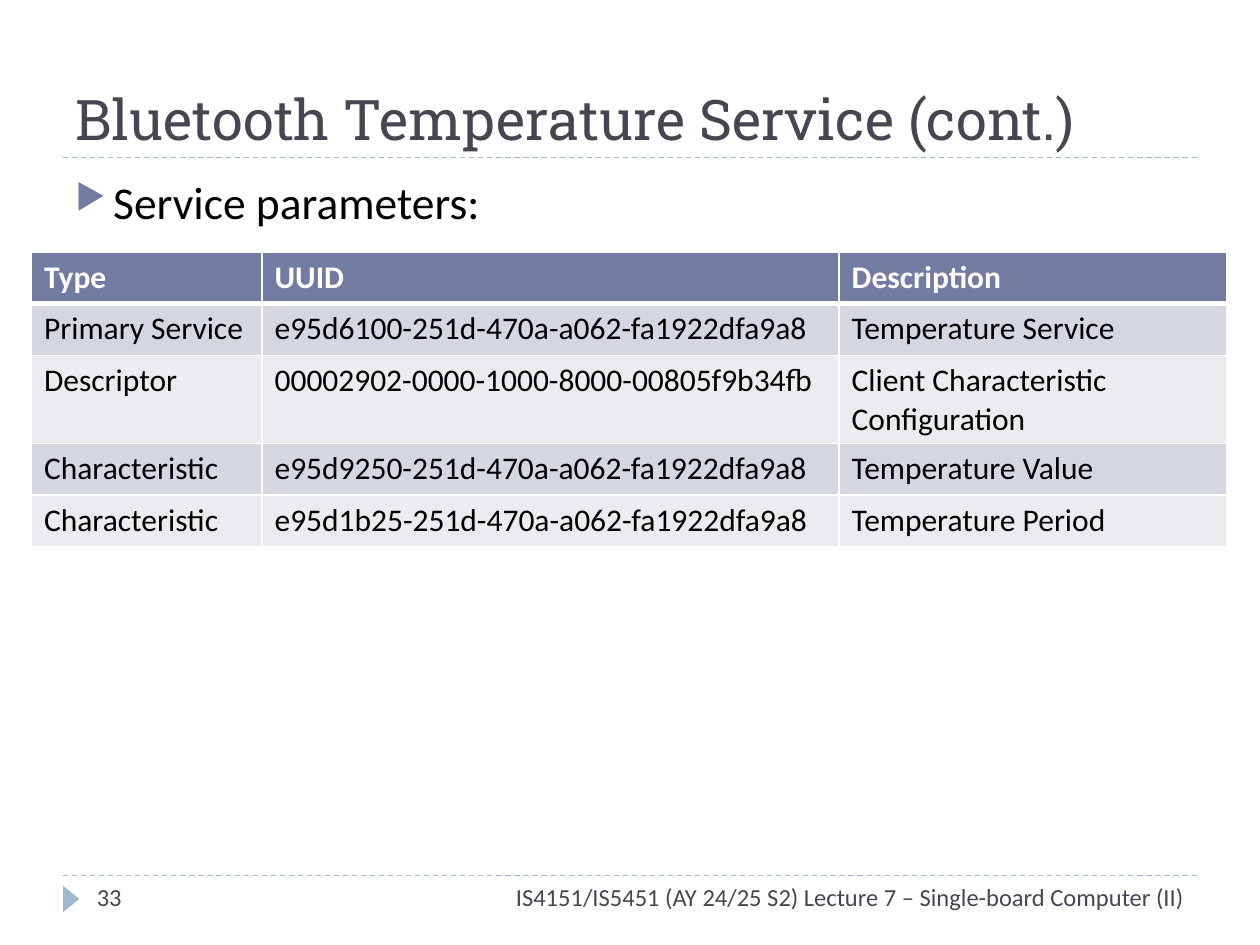
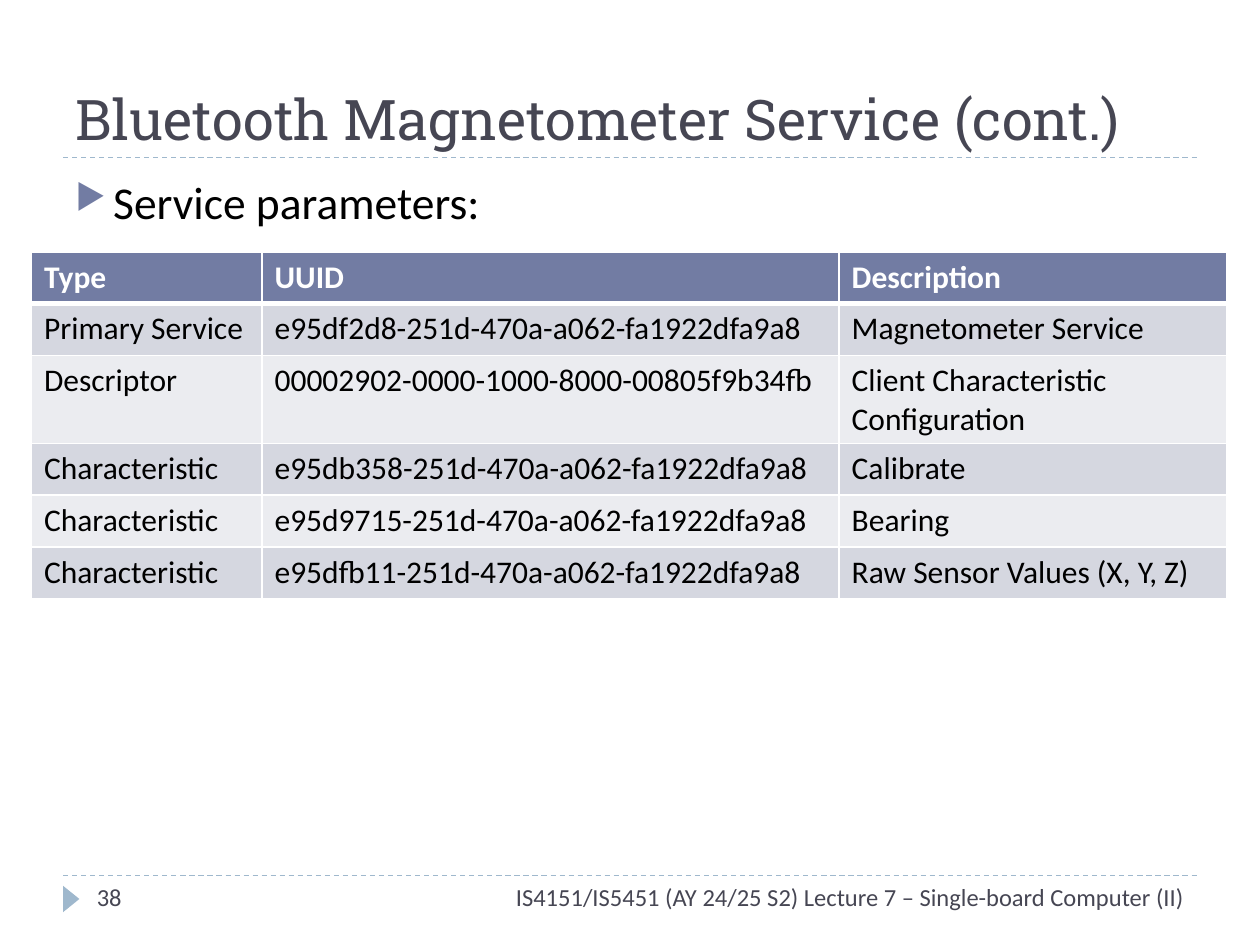
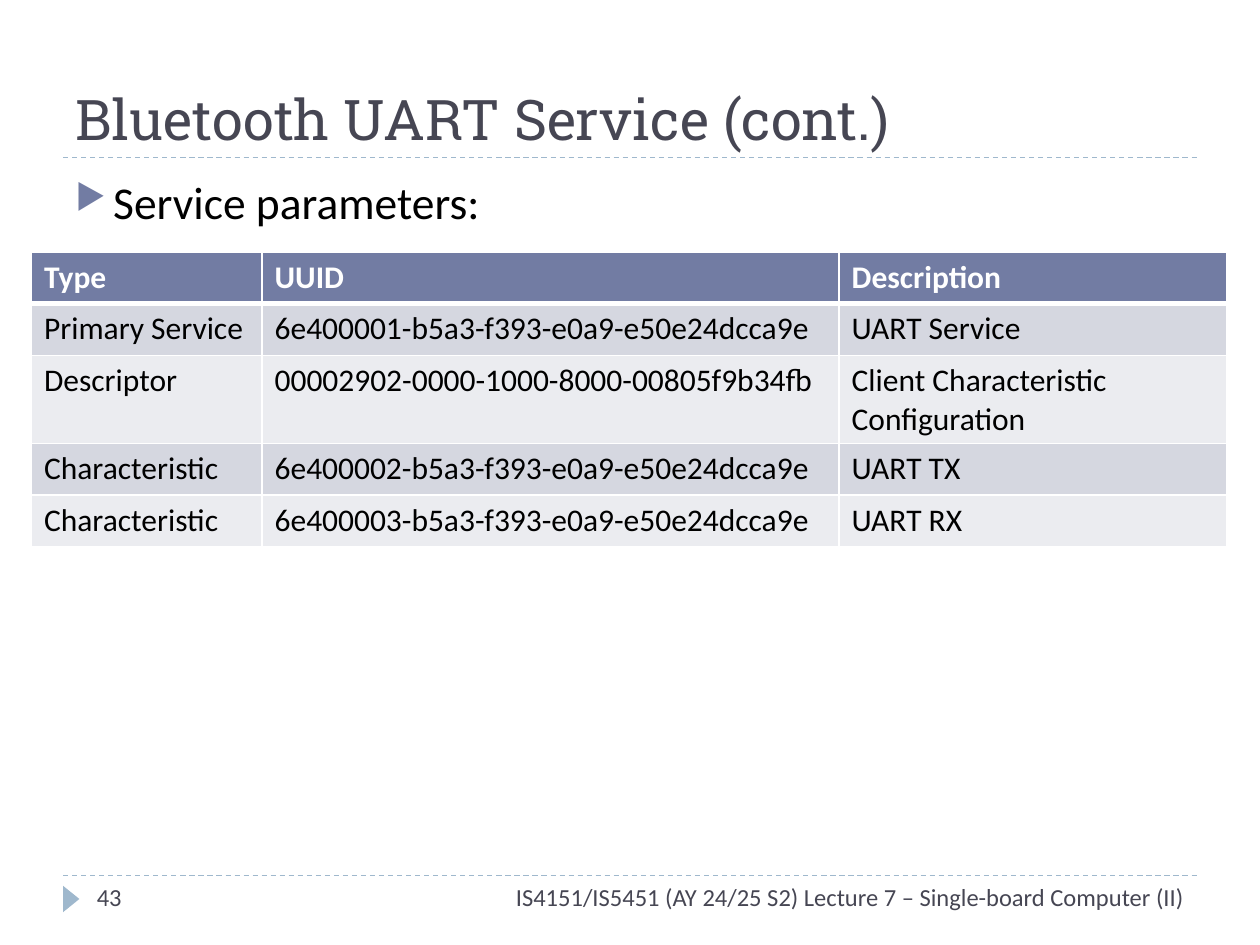
"""Build the Bluetooth service parameter slides."""
import pptx
import pptx.dml.color
import pptx.enum.dml
import pptx.enum.shapes
import pptx.enum.text
import pptx.oxml
import pptx.oxml.ns
import pptx.util
from pptx.util import Inches

COLOURS = {
    "title": "464653",
    "body": "000000",
    "accent": "727CA3",
    "rule": "9FB8CD",
    "white": "FFFFFF",
    "odd_row": "D5D7E0",
    "even_row": "EBECF0",
}
FORMATS = {
    "title": {"name": "Roboto Slab", "size": pptx.util.Pt(32)},
    "footer": {"name": "Calibri", "size": pptx.util.Pt(14)},
    "body": {"name": "Calibri", "size": pptx.util.Pt(26)},
    "header": {"name": "Calibri", "size": pptx.util.Pt(18), "bold": True},
    "cell": {"name": "Calibri", "size": pptx.util.Pt(18), "bold": False},
}
FOOTER = "IS4151/IS5451 (AY 24/25 S2) Lecture 7 – Single-board Computer (II)"
HEADINGS = ("Type", "UUID", "Description")
COLUMN_WIDTHS = (1.83, 4.58, 3.08)
ROW_HEIGHT = 0.41
DESCRIPTOR = (
    "Descriptor",
    "00002902-0000-1000-8000-00805f9b34fb",
    "Client Characteristic Configuration",
)
SERVICES = [
    {
        "name": "Temperature",
        "number": 33,
        "body_height": 5.4,
        "uuid": "e95d6100-251d-470a-a062-fa1922dfa9a8",
        "characteristics": [
            ("e95d9250-251d-470a-a062-fa1922dfa9a8", "Temperature Value"),
            ("e95d1b25-251d-470a-a062-fa1922dfa9a8", "Temperature Period"),
        ],
    },
    {
        "name": "Magnetometer",
        "number": 38,
        "body_height": 5.4,
        "uuid": "e95df2d8-251d-470a-a062-fa1922dfa9a8",
        "characteristics": [
            ("e95db358-251d-470a-a062-fa1922dfa9a8", "Calibrate"),
            ("e95d9715-251d-470a-a062-fa1922dfa9a8", "Bearing"),
            ("e95dfb11-251d-470a-a062-fa1922dfa9a8", "Raw Sensor Values (X, Y, Z)"),
        ],
    },
    {
        "name": "UART",
        "number": 43,
        "body_height": 5.62,
        "uuid": "6e400001-b5a3-f393-e0a9-e50e24dcca9e",
        "characteristics": [
            ("6e400002-b5a3-f393-e0a9-e50e24dcca9e", "UART TX"),
            ("6e400003-b5a3-f393-e0a9-e50e24dcca9e", "UART RX"),
        ],
    },
]


def colour(name):
    """Return the named palette colour."""
    return pptx.dml.color.RGBColor.from_string(COLOURS[name])


def write(paragraph, text, style, colour_name):
    """Put styled text in a paragraph."""
    font = paragraph.add_run().font
    paragraph.runs[0].text = text
    for attribute, value in FORMATS[style].items():
        setattr(font, attribute, value)
    font.color.rgb = colour(colour_name)


def add_text(slide, box, text, style, colour_name):
    """Add a wrapping text box and return its frame."""
    frame = slide.shapes.add_textbox(*map(Inches, box)).text_frame
    frame.word_wrap = True
    write(frame.paragraphs[0], text, style, colour_name)
    return frame


def add_rule(slide, left, top, width):
    """Add a dashed horizontal rule."""
    rule = slide.shapes.add_connector(
        pptx.enum.shapes.MSO_CONNECTOR.STRAIGHT,
        Inches(left), Inches(top), Inches(left + width), Inches(top),
    )
    rule.line.color.rgb = colour("rule")
    rule.line.width = pptx.util.Pt(0.75)
    rule.line.dash_style = pptx.enum.dml.MSO_LINE.DASH
    properties = rule._element.spPr
    properties.append(properties.makeelement(pptx.oxml.ns.qn("a:effectLst"), {}))


def add_title(slide, box, text):
    """Add a bottom-anchored title with a rule along its lower edge."""
    left, top, width, height = box
    add_rule(slide, left, top + height, width)
    frame = add_text(slide, box, text, "title", "title")
    frame.vertical_anchor = pptx.enum.text.MSO_ANCHOR.BOTTOM


def add_footer(slide, box, number):
    """Add the footer rule, marker, lecture name and slide number."""
    left, top, width, height = box
    add_rule(slide, left, top, width)
    marker = slide.shapes.add_shape(
        pptx.enum.shapes.MSO_SHAPE.ISOSCELES_TRIANGLE,
        Inches(left - 0.04), Inches(top + 0.12), Inches(0.21), Inches(0.13),
    )
    marker.rotation = 90
    marker.shadow.inherit = False
    marker.fill.solid()
    marker.fill.fore_color.rgb = colour("rule")
    marker.line.fill.background()
    lecture_box = (left + 0.83, top, width - 0.83, height)
    frame = add_text(slide, lecture_box, FOOTER, "footer", "title")
    frame.paragraphs[0].alignment = pptx.enum.text.PP_ALIGN.RIGHT
    add_text(slide, (left + 0.17, top, 2.17, height), str(number), "footer", "title")


def add_bullet(slide, box, text):
    """Add a body box holding one bulleted line."""
    frame = add_text(slide, box, text, "body", "body")
    properties = frame.paragraphs[0]._p.get_or_add_pPr()
    properties.set("marL", str(Inches(0.3)))
    properties.set("indent", str(Inches(-0.3)))
    namespace = pptx.oxml.ns.nsdecls("a")
    for element in (
        f'<a:buClr {namespace}><a:srgbClr val="{COLOURS["accent"]}"/></a:buClr>',
        f'<a:buSzPct {namespace} val="76000"/>',
        f'<a:buChar {namespace} char="▶"/>',
    ):
        properties.append(pptx.oxml.parse_xml(element))


def set_borders(cell, top, bottom):
    """Give a cell white borders, with top and bottom widths in points."""
    properties = cell._tc.get_or_add_tcPr()
    namespace = pptx.oxml.ns.nsdecls("a")
    for side, points in {"L": 1, "R": 1, "T": top, "B": bottom}.items():
        properties.append(pptx.oxml.parse_xml(
            f'<a:ln{side} {namespace} w="{pptx.util.Pt(points)}"><a:solidFill>'
            f'<a:srgbClr val="{COLOURS["white"]}"/></a:solidFill></a:ln{side}>'
        ))


def add_parameters(slide, left, top, rows):
    """Add the banded parameter table under its header row."""
    table = slide.shapes.add_table(
        len(rows) + 1, len(HEADINGS), Inches(left), Inches(top),
        Inches(sum(COLUMN_WIDTHS)), Inches(ROW_HEIGHT * (len(rows) + 1)),
    ).table
    for column, width in zip(table.columns, COLUMN_WIDTHS):
        column.width = Inches(width)
    for row_index, values in enumerate([HEADINGS, *rows]):
        if row_index == 0:
            style, text_colour, fill = "header", "white", "accent"
        else:
            style, text_colour = "cell", "body"
            fill = "odd_row" if row_index % 2 else "even_row"
        for column_index, value in enumerate(values):
            cell = table.cell(row_index, column_index)
            set_borders(cell, 3 if row_index == 1 else 1, 3 if row_index == 0 else 1)
            cell.fill.solid()
            cell.fill.fore_color.rgb = colour(fill)
            write(cell.text_frame.paragraphs[0], value, style, text_colour)


def add_service_slide(presentation, service):
    """Add one slide describing a Bluetooth service."""
    slide = presentation.slides.add_slide(presentation.slide_layouts[6])
    name = service["name"]
    add_title(slide, (0.5, 0.17, 9, 1.08), f"Bluetooth {name} Service (cont.)")
    add_footer(slide, (0.5, 6.95, 9, 0.4), service["number"])
    add_bullet(slide, (0.5, 1.33, 9, service["body_height"]), "Service parameters:")
    rows = [("Primary Service", service["uuid"], f"{name} Service"), DESCRIPTOR]
    rows += [("Characteristic", *values) for values in service["characteristics"]]
    add_parameters(slide, 0.25, 2, rows)


def main():
    """Build and save the presentation."""
    presentation = pptx.Presentation()
    presentation.slide_width = Inches(10)
    presentation.slide_height = Inches(7.5)
    for service in SERVICES:
        add_service_slide(presentation, service)
    presentation.save("out.pptx")


if __name__ == "__main__":
    main()
